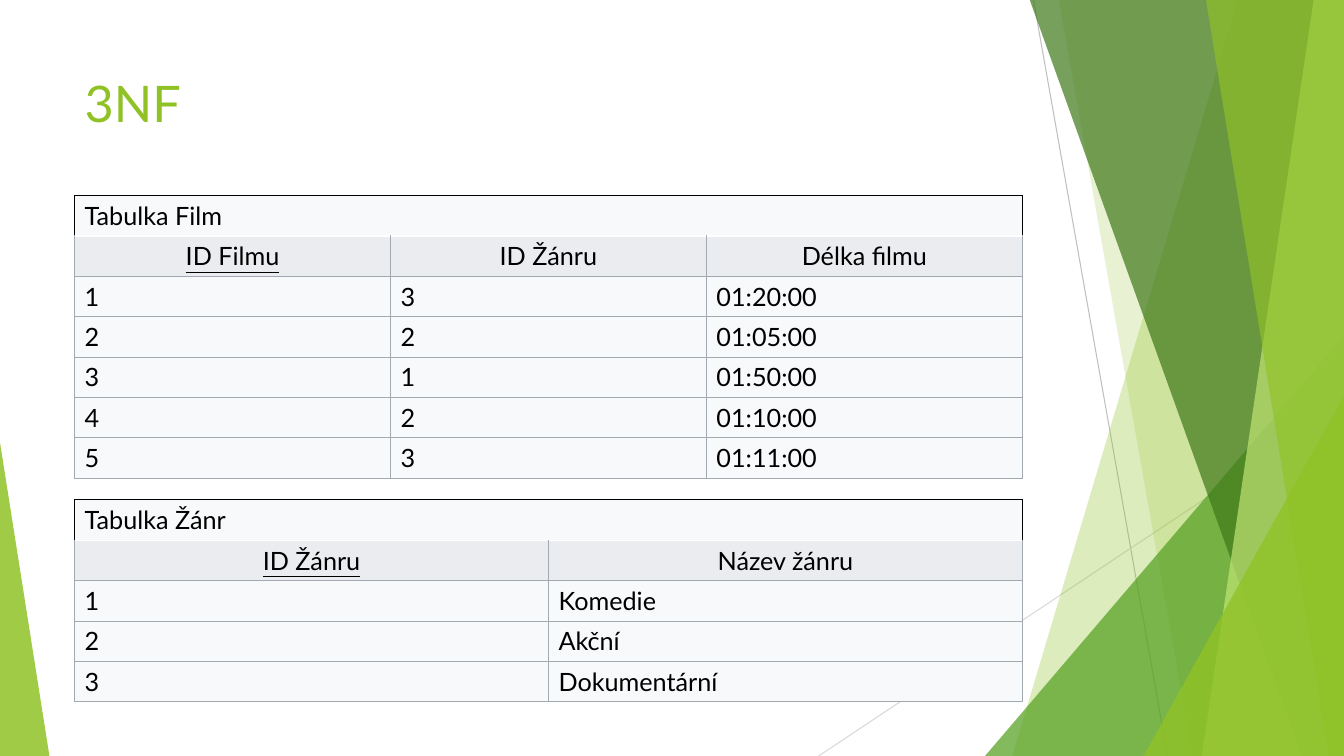
import pptx
import pptx.util
import pptx.dml.color
import pptx.enum.shapes
import pptx.enum.text
import pptx.oxml
import pptx.oxml.ns
from dataclasses import dataclass
from lxml import etree
from pptx.util import Inches

Align = pptx.enum.text.PP_ALIGN
Anchor = pptx.enum.text.MSO_ANCHOR


@dataclass(frozen=True)
class Theme:
    font: str = "Lato"
    head: int = 36
    body: int = 18
    rule: float = 0.75
    green: str = "90C226"
    leaf: str = "54A021"
    dark: str = "3F7819"
    pale: str = "C0E474"
    black: str = "000000"
    cell: str = "F8F9FA"
    label: str = "EAECF0"
    grid: str = "A2A9B1"
    gray: str = "BFBFBF"
    light: str = "D9D9D9"


def color(code):
    return pptx.dml.color.RGBColor.from_string(code)


def write(frame, text, font, size, tone, align=Align.LEFT, under=False):
    para = frame.paragraphs[0]
    para.alignment = align
    run = para.add_run()
    run.text = text
    run.font.name = font
    run.font.size = pptx.util.Pt(size)
    run.font.color.rgb = color(tone)
    run.font.underline = under


class Deck:
    def __init__(self, theme):
        self.theme = theme
        self.file = pptx.Presentation()
        self.file.slide_width = Inches(13.33)
        self.file.slide_height = Inches(7.5)
        self.slide = self.file.slides.add_slide(self.file.slide_layouts[5])
        self.shapes = self.slide.shapes

    def line(self, start, end, tone):
        kind = pptx.enum.shapes.MSO_CONNECTOR.STRAIGHT
        line = self.shapes.add_connector(kind, *map(Inches, start + end))
        line.line.color.rgb = color(tone)
        line.line.width = pptx.util.Pt(self.theme.rule)
        props = line.element.find(pptx.oxml.ns.qn("p:spPr"))
        etree.SubElement(props, pptx.oxml.ns.qn("a:effectLst"))

    def paint(self, shape, tone, alpha):
        shape.shadow.inherit = False
        shape.fill.solid()
        shape.fill.fore_color.rgb = color(tone)
        shape.line.fill.background()
        fill = shape.element.find(".//" + pptx.oxml.ns.qn("a:srgbClr"))
        etree.SubElement(fill, pptx.oxml.ns.qn("a:alpha"), val=str(alpha * 1000))

    def band(self, top, foot, tone, alpha):
        """Fill from a slanted edge to the right side of the slide."""
        points = [(top, -0.01), (13.33, -0.01), (13.33, 7.5), (foot, 7.5)]
        points = [(Inches(x), Inches(y)) for x, y in points]
        form = self.shapes.build_freeform(*points[0])
        form.add_line_segments(points[1:], close=True)
        self.paint(form.convert_to_shape(), tone, alpha)

    def wedge(self, box, peak, tone, alpha):
        kind = pptx.enum.shapes.MSO_SHAPE.ISOSCELES_TRIANGLE
        shape = self.shapes.add_shape(kind, *map(Inches, box))
        shape.adjustments[0] = peak
        self.paint(shape, tone, alpha)

    def title(self, text, box):
        title = self.shapes.title
        title.left, title.top, title.width, title.height = map(Inches, box)
        frame = title.text_frame
        frame.auto_size = pptx.enum.text.MSO_AUTO_SIZE.NONE
        frame.vertical_anchor = Anchor.TOP
        write(frame, text, self.theme.font, self.theme.head, self.theme.green)
        # Bring the title in front of the backdrop
        title.element.getparent().append(title.element)

    def edge(self, cell, sides, tone):
        props = cell._tc.get_or_add_tcPr()
        space = pptx.oxml.ns.nsdecls("a")
        width = int(pptx.util.Pt(self.theme.rule))
        for side in sides:
            props.append(pptx.oxml.parse_xml(
                f'<a:ln{side} {space} w="{width}"><a:solidFill>'
                f'<a:srgbClr val="{tone}"/></a:solidFill></a:ln{side}>'))

    def table(self, top, name, heads, rows):
        look = self.theme
        count, wide = len(rows) + 2, len(heads)
        frame = self.shapes.add_table(count, wide, Inches(0.74), Inches(top),
                                      Inches(9.4), Inches(0.4 * count))
        table = frame.table
        table.first_row = table.horz_banding = False
        for row in table.rows:
            row.height = Inches(0.4)
        table.cell(0, 0).merge(table.cell(0, wide - 1))
        lines = [[name] + [""] * (wide - 1), heads, *rows]
        for r, texts in enumerate(lines):
            for c, text in enumerate(texts):
                cell = table.cell(r, c)
                sides = "LRB" if r == 1 else "LRTB"
                self.edge(cell, sides, look.grid if r else look.black)
                cell.fill.solid()
                cell.fill.fore_color.rgb = color(look.label if r == 1 else look.cell)
                cell.vertical_anchor = Anchor.MIDDLE
                if text:
                    write(cell.text_frame, text, look.font, look.body, look.black,
                          align=Align.CENTER if r == 1 else Align.LEFT,
                          under=r == 1 and c == 0)


def main():
    look = Theme()
    deck = Deck(look)

    # Backdrop
    deck.line((10.25, 0), (11.58, 7.5), look.gray)
    deck.line((13.33, 4.03), (8.12, 7.5), look.light)
    deck.band(12.28, 10.04, look.green, 30)
    deck.band(10.5, 11.83, look.green, 20)
    deck.wedge((9.77, 3.33, 3.56, 4.17), 1, look.leaf, 72)
    deck.band(10.21, 12.91, look.dark, 70)
    deck.band(13.03, 11.92, look.pale, 70)
    deck.band(11.96, 13.18, look.green, 65)
    deck.wedge((11.34, 3.93, 1.99, 3.57), 1, look.green, 80)
    deck.wedge((0, 4.39, 0.49, 3.11), 0, look.green, 85)

    # Title
    deck.title("3NF", (0.74, 0.67, 9.4, 1.44))

    # Film and genre tables
    films = [("3", "01:20:00"), ("2", "01:05:00"), ("1", "01:50:00"),
             ("2", "01:10:00"), ("3", "01:11:00")]
    deck.table(1.94, "Tabulka Film", ["ID Filmu", "ID Žánru", "Délka filmu"],
               [(str(i), *film) for i, film in enumerate(films, 1)])
    genres = ["Komedie", "Akční", "Dokumentární"]
    deck.table(4.96, "Tabulka Žánr", ["ID Žánru", "Název žánru"],
               [(str(i), genre) for i, genre in enumerate(genres, 1)])

    deck.file.save("out.pptx")


if __name__ == "__main__":
    main()
